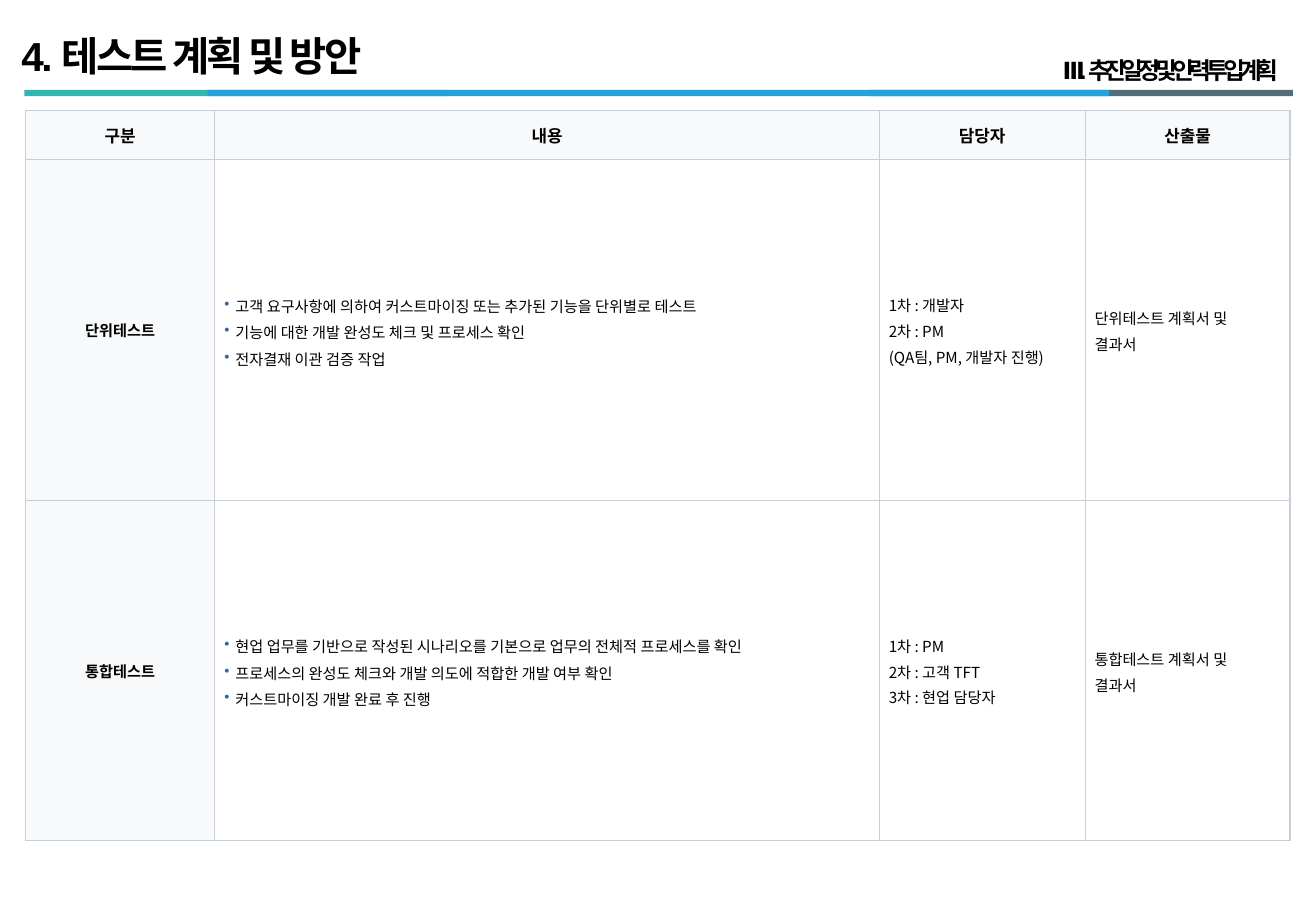
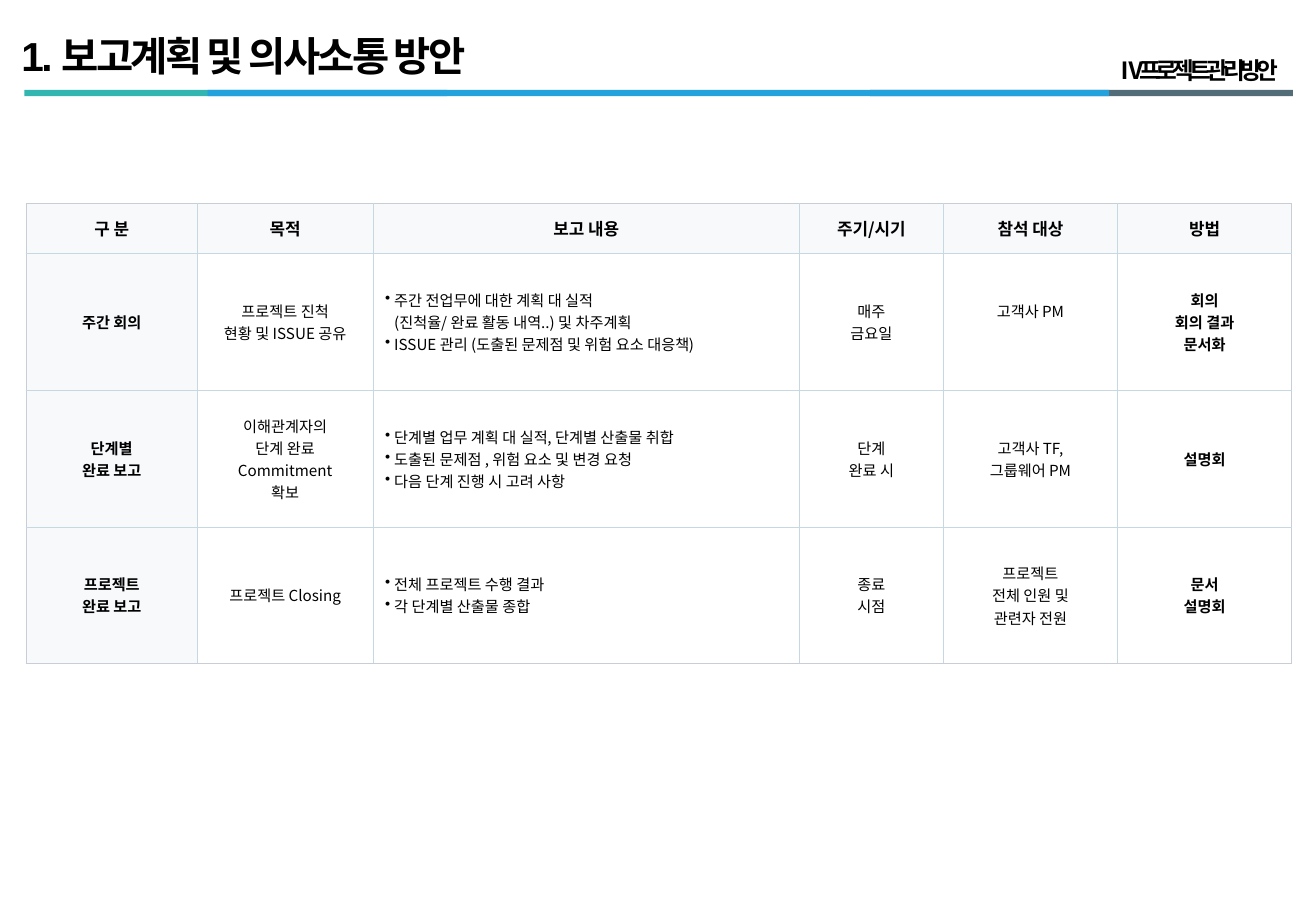
from dataclasses import dataclass, field
from typing import Optional

from lxml.etree import SubElement
from pptx import Presentation
from pptx.dml.color import RGBColor as Rgb
from pptx.enum.shapes import MSO_SHAPE as Preset
from pptx.enum.text import MSO_ANCHOR as Anchor, MSO_AUTO_SIZE as AutoSize, PP_ALIGN as Align
from pptx.oxml.ns import qn
from pptx.util import Cm, Pt


@dataclass(frozen=True)
class Theme:
    black: str = "000000"
    white: str = "FFFFFF"
    teal: str = "33B5B1"
    slate: str = "526C78"
    blue: str = "24A2DD"
    heading_fill: str = "F7F9FB"
    border: str = "C8CED6"
    soft_border: str = "C8D8E2"
    bullet: str = "336699"
    latin: str = "Arial"
    korean: str = "Noto Sans CJK KR"
    title_size: float = 24
    section_size: float = 14
    header_size: float = 10
    body_size: float = 9
    outer_line: float = 1
    inner_line: float = 0.5


THEME = Theme()


@dataclass(frozen=True)
class Band:
    left: float
    width: float
    color: str


@dataclass(frozen=True)
class TextStyle:
    size: float
    bold: bool = False
    font: str = THEME.korean
    tracking: float = 0
    align: Align = Align.LEFT
    line_spacing: float = 1.0
    gap: float = 0
    hanging: float = 0
    bullet_color: str = THEME.black


@dataclass(frozen=True)
class Margins:
    left: float = 0.25
    top: float = 0.13
    right: float = 0.25
    bottom: float = 0.13


@dataclass(frozen=True)
class Column:
    heading: str
    width: float
    style: TextStyle
    margins: Margins = Margins()


@dataclass(frozen=True)
class PlanTable:
    left: float
    top: float
    header_height: float
    row_height: float
    header_font: str
    inner_color: str
    columns: list[Column]
    rows: list[list[str]]
    margin_overrides: dict[tuple[int, int], Margins] = field(default_factory=dict)


@dataclass(frozen=True)
class PlanSlide:
    title: str
    section: str
    table: PlanTable


BANDS = [
    Band(0.51, 8.84, THEME.teal),
    Band(18.19, 8.84, THEME.slate),
    Band(4.34, 18.85, THEME.blue),
]
TITLE = TextStyle(THEME.title_size, True, THEME.latin, -1.5, line_spacing=0.9)
SECTION = TextStyle(THEME.section_size, True, THEME.latin, -3, Align.RIGHT)
CENTERED = TextStyle(THEME.body_size, align=Align.CENTER)
CENTERED_BOLD = TextStyle(THEME.body_size, True, align=Align.CENTER)
TEST_POINTS = TextStyle(THEME.body_size, line_spacing=1.2, hanging=0.23,
                        bullet_color=THEME.bullet)
TEST_NOTES = TextStyle(THEME.body_size, line_spacing=1.1, gap=0.9)
REPORT_POINTS = TextStyle(THEME.body_size, hanging=0.19)
NARROW = Margins(0.1, 0.1, 0.1, 0.1)
INDENTED = Margins(0.2, 0.1, 0.1, 0.1)

TEST_PLAN = PlanTable(
    0.53, 2.31, 1.03, 7.12, THEME.latin, THEME.border,
    [
        Column("구분", 3.96, CENTERED_BOLD, NARROW),
        Column("내용", 13.89, TEST_POINTS, INDENTED),
        Column("담당자", 4.3, TEST_NOTES, INDENTED),
        Column("산출물", 4.29, TEST_NOTES, INDENTED),
    ],
    [
        ["단위테스트",
         "• 고객 요구사항에 의하여 커스트마이징 또는 추가된 기능을 단위별로 테스트\n"
         "• 기능에 대한 개발 완성도 체크 및 프로세스 확인\n"
         "• 전자결재 이관 검증 작업",
         "1차 : 개발자\n2차 : PM\n(QA팀, PM, 개발자 진행)",
         "단위테스트 계획서 및\n결과서"],
        ["통합테스트",
         "• 현업 업무를 기반으로 작성된 시나리오를 기본으로 업무의 전체적 프로세스를 확인\n"
         "• 프로세스의 완성도 체크와 개발 의도에 적합한 개발 여부 확인\n"
         "• 커스트마이징 개발 완료 후 진행",
         "1차 : PM\n2차 : 고객 TFT\n3차 : 현업 담당자",
         "통합테스트 계획서 및\n결과서"],
    ],
)

REPORT_PLAN = PlanTable(
    0.55, 4.26, 1.04, 2.86, THEME.korean, THEME.soft_border,
    [
        Column("구 분", 3.57, CENTERED_BOLD),
        Column("목적", 3.68, CENTERED),
        Column("보고 내용", 8.91, REPORT_POINTS),
        Column("주기/시기", 3.01, CENTERED),
        Column("참석 대상", 3.64, CENTERED),
        Column("방법", 3.64, CENTERED_BOLD),
    ],
    [
        ["주간 회의",
         "프로젝트 진척\n현황 및 ISSUE 공유",
         "• 주간 전업무에 대한 계획 대 실적\n"
         "(진척율/ 완료 활동 내역..) 및 차주계획\n"
         "• ISSUE 관리 (도출된 문제점 및 위험 요소 대응책)",
         "매주\n금요일", "고객사 PM", "회의\n회의 결과\n문서화"],
        ["단계별\n완료 보고",
         "이해관계자의\n단계 완료 Commitment\n확보",
         "• 단계별 업무 계획 대 실적, 단계별 산출물 취합\n"
         "• 도출된 문제점 , 위험 요소 및 변경 요청\n"
         "• 다음 단계 진행 시 고려 사항",
         "단계\n완료 시", "고객사 TF,\n그룹웨어 PM", "설명회"],
        ["프로젝트\n완료 보고",
         "프로젝트 Closing",
         "• 전체 프로젝트 수행 결과\n• 각 단계별 산출물 종합",
         "종료\n시점", "프로젝트\n전체 인원 및\n관련자 전원", "문서\n설명회"],
    ],
    {(1, 4): Margins(bottom=0.59)},
)

SLIDES = [
    PlanSlide("4. 테스트 계획 및 방안", "Ⅲ. 추진 일정 및 인력 투입 계획", TEST_PLAN),
    PlanSlide("1. 보고계획 및 의사소통 방안", "Ⅳ 프로젝트 관리 방안", REPORT_PLAN),
]


def apply(target, formats: dict) -> None:
    for name, value in formats.items():
        setattr(target, name, value)


def indent(paragraph, hanging: float, bullet_color: Optional[str]) -> None:
    properties = paragraph._p.get_or_add_pPr()
    properties.set("marL", str(Cm(hanging)))
    if bullet_color:
        properties.set("indent", str(-Cm(hanging)))
        color = SubElement(properties, qn("a:buClr"))
        SubElement(color, qn("a:srgbClr")).set("val", bullet_color)
        SubElement(properties, qn("a:buChar")).set("char", "•")


def write(frame, text: str, style: TextStyle) -> None:
    for index, line in enumerate(text.split("\n")):
        paragraph = frame.add_paragraph() if index else frame.paragraphs[0]
        if style.hanging:
            indent(paragraph, style.hanging,
                   style.bullet_color if line.startswith("• ") else None)
        apply(paragraph, {"alignment": style.align, "line_spacing": style.line_spacing})
        if index and style.gap:
            paragraph.space_before = Pt(style.gap)
        run = paragraph.add_run()
        run.text = line.removeprefix("• ")
        apply(run.font, {"size": Pt(style.size), "bold": style.bold, "name": style.font})
        run.font.color.rgb = Rgb.from_string(THEME.black)
        properties = run._r.get_or_add_rPr()
        SubElement(properties, qn("a:ea")).set("typeface", THEME.korean)
        if style.tracking:
            properties.set("spc", str(round(style.tracking * 100)))


def add_label(slide, box: tuple[float, ...], text: str, style: TextStyle,
              formats: dict) -> None:
    frame = slide.shapes.add_textbox(*map(Cm, box)).text_frame
    apply(frame, {"word_wrap": True, **formats})
    write(frame, text, style)


def add_heading(slide, title: str, section: str) -> None:
    for band in BANDS:
        bar = slide.shapes.add_shape(
            Preset.RECTANGLE, Cm(band.left), Cm(1.88), Cm(band.width), Cm(0.13))
        bar.shadow.inherit = False
        bar.fill.solid()
        bar.fill.fore_color.rgb = Rgb.from_string(band.color)
        bar.line.fill.background()
    add_label(slide, (0.2, 0.51, 15.47, 1.42), title, TITLE,
              {"vertical_anchor": Anchor.MIDDLE})
    add_label(slide, (17.93, 1.04, 9.05, 0.86), section, SECTION,
              {"auto_size": AutoSize.SHAPE_TO_FIT_TEXT})


def add_borders(cell, outer_sides: dict[str, bool], inner_color: str) -> None:
    properties = cell._tc.get_or_add_tcPr()
    for side, outer in outer_sides.items():
        line = SubElement(properties, qn(f"a:ln{side}"))
        line.set("w", str(Pt(THEME.outer_line if outer else THEME.inner_line)))
        fill = SubElement(line, qn("a:solidFill"))
        SubElement(fill, qn("a:srgbClr")).set("val", THEME.border if outer else inner_color)


def add_plan_table(slide, plan: PlanTable) -> None:
    content = [[column.heading for column in plan.columns], *plan.rows]
    heights = [plan.header_height] + [plan.row_height] * len(plan.rows)
    last_row, last_column = len(content) - 1, len(plan.columns) - 1
    table = slide.shapes.add_table(
        len(content), len(plan.columns), Cm(plan.left), Cm(plan.top),
        Cm(sum(column.width for column in plan.columns)), Cm(sum(heights))).table
    apply(table, {"first_row": False, "horz_banding": False})
    header = TextStyle(THEME.header_size, True, plan.header_font, align=Align.CENTER)
    for x, column in enumerate(plan.columns):
        table.columns[x].width = Cm(column.width)
        for y, height in enumerate(heights):
            table.rows[y].height = Cm(height)
            cell = table.cell(y, x)
            margins = plan.margin_overrides.get((y, x), column.margins if y else Margins())
            apply(cell, {
                "vertical_anchor": Anchor.MIDDLE,
                "margin_left": Cm(margins.left),
                "margin_top": Cm(margins.top),
                "margin_right": Cm(margins.right),
                "margin_bottom": Cm(margins.bottom),
            })
            add_borders(cell, {"L": x == 0, "R": x == last_column,
                               "T": y == 0, "B": y == last_row}, plan.inner_color)
            cell.fill.solid()
            cell.fill.fore_color.rgb = Rgb.from_string(
                THEME.white if x and y else THEME.heading_fill)
            write(cell.text_frame, content[y][x], column.style if y else header)


def main() -> None:
    deck = Presentation()
    apply(deck, {"slide_width": Cm(27.51), "slide_height": Cm(19.05)})
    for plan in SLIDES:
        slide = deck.slides.add_slide(deck.slide_layouts[6])
        add_heading(slide, plan.title, plan.section)
        add_plan_table(slide, plan.table)
    deck.save("out.pptx")


if __name__ == "__main__":
    main()
